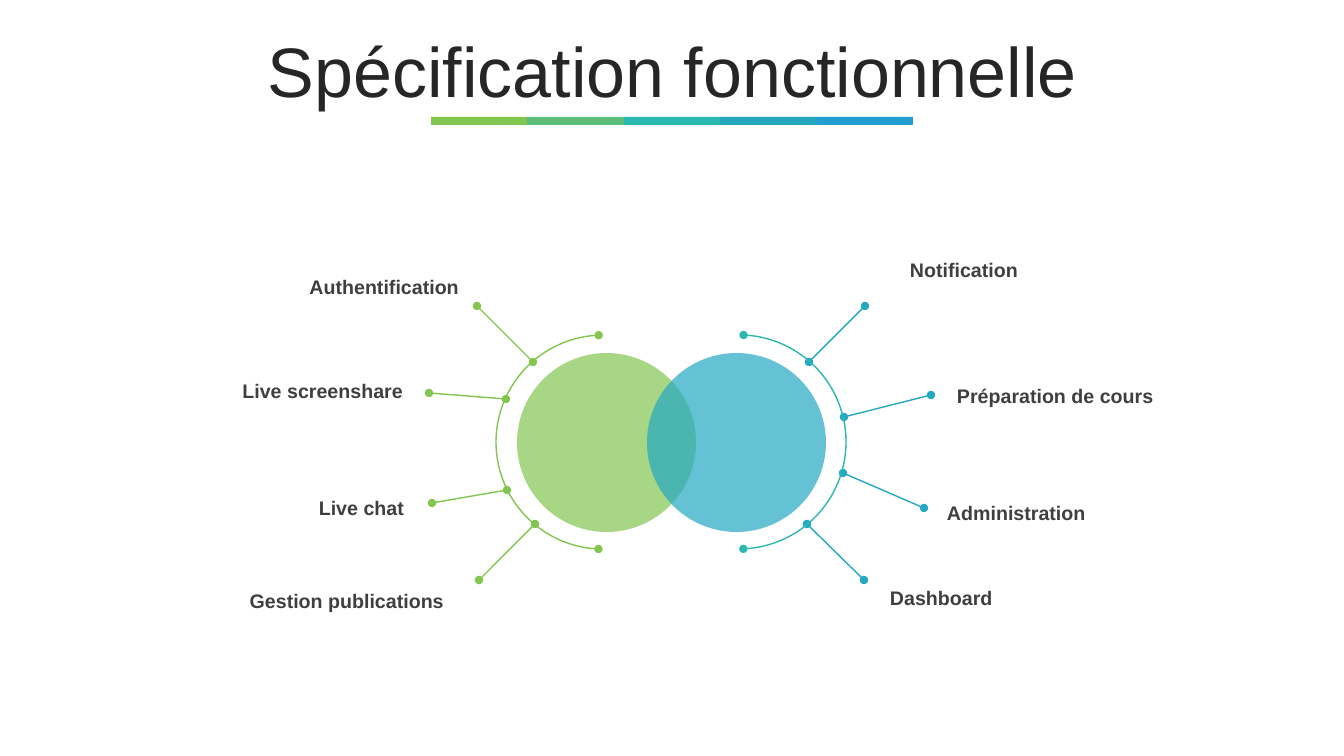
from dataclasses import dataclass

from lxml import etree
from pptx import Presentation
from pptx.dml.color import RGBColor
from pptx.enum.shapes import MSO_CONNECTOR, MSO_SHAPE
from pptx.enum.text import MSO_ANCHOR, MSO_AUTO_SIZE, PP_ALIGN
from pptx.oxml.ns import qn
from pptx.util import Emu, Pt


@dataclass(frozen=True)
class Theme:
    font: str = "Arial"
    title_size: int = 50
    label_size: int = 14
    line_width: int = 1
    title: str = "262626"
    label: str = "3F3F3F"
    green: str = "82C650"
    mint: str = "5CBE7A"
    teal: str = "2CB8AE"
    blue: str = "24A8C2"
    azure: str = "249ED2"


def px(length):
    return Emu(round(length * 914400 / 100.8))


class SlideBuilder:
    def __init__(self, slide, theme):
        self.slide = slide
        self.theme = theme

    def style_font(self, paragraph, size, color, bold):
        font = paragraph.font
        font.name = self.theme.font
        font.size = Pt(size)
        font.bold = bold
        font.color.rgb = RGBColor.from_string(color)

    def style_line(self, line, color):
        """Colour a line and put a round dot on both ends."""
        line.color.rgb = RGBColor.from_string(color)
        line.width = Pt(self.theme.line_width)
        ln = line._get_or_add_ln()
        for end in ("a:headEnd", "a:tailEnd"):
            etree.SubElement(ln, qn(end), type="oval")

    def title(self, text, left, top, width, height):
        heading = self.slide.shapes.title
        heading.left, heading.top = px(left), px(top)
        heading.width, heading.height = px(width), px(height)
        frame = heading.text_frame
        frame.text = text
        frame.auto_size = MSO_AUTO_SIZE.NONE
        frame.vertical_anchor = MSO_ANCHOR.MIDDLE
        paragraph = frame.paragraphs[0]
        paragraph.alignment = PP_ALIGN.CENTER
        paragraph.line_spacing = 0.8
        self.style_font(paragraph, self.theme.title_size, self.theme.title, False)

    def filled(self, preset, left, top, width, height, color, opacity=100):
        shape = self.slide.shapes.add_shape(
            preset, px(left), px(top), px(width), px(height))
        shape.shadow.inherit = False
        shape.line.fill.background()
        shape.fill.solid()
        shape.fill.fore_color.rgb = RGBColor.from_string(color)
        if opacity < 100:
            rgb = shape._element.spPr.find(".//" + qn("a:srgbClr"))
            etree.SubElement(rgb, qn("a:alpha"), val=str(opacity * 1000))

    def arc(self, left, top, size, rotation, color):
        arc = self.slide.shapes.add_shape(
            MSO_SHAPE.ARC, px(left), px(top), px(size), px(size))
        arc.adjustments[0] = 136.45
        arc.adjustments[1] = 25.62
        arc.rotation = rotation
        arc.shadow.inherit = False
        arc.fill.background()
        self.style_line(arc.line, color)

    def spoke(self, start, end, color):
        spoke = self.slide.shapes.add_connector(
            MSO_CONNECTOR.STRAIGHT, *map(px, start + end))
        self.style_line(spoke.line, color)
        etree.SubElement(spoke._element.spPr, qn("a:effectLst"))

    def label(self, text, left, top, width, alignment):
        box = self.slide.shapes.add_textbox(px(left), px(top), px(width), px(34))
        frame = box.text_frame
        frame.word_wrap = True
        frame.margin_left = frame.margin_right = px(12)
        frame.margin_top = frame.margin_bottom = px(5)
        frame.text = text
        paragraph = frame.paragraphs[0]
        paragraph.alignment = alignment
        self.style_font(paragraph, self.theme.label_size, self.theme.label, True)


def main():
    theme = Theme()
    deck = Presentation()
    deck.slide_width, deck.slide_height = px(1344), px(756)
    builder = SlideBuilder(deck.slides.add_slide(deck.slide_layouts[5]), theme)

    bar_colors = (theme.green, theme.mint, theme.teal, theme.blue, theme.azure)
    bar_edges = [round(431 + 482 * i / 5) for i in range(6)]
    for left, right, color in zip(bar_edges, bar_edges[1:], bar_colors):
        builder.filled(MSO_SHAPE.RECTANGLE, left, 117, right - left, 8, color)
    builder.title("Spécification fonctionnelle", 35, 37, 1276, 80)

    # Feature: text, label left, top and width, spoke outer and inner ends
    left_features = (
        ("Authentification", 183, 270, 288, (477, 306), (533, 362)),
        ("Live screenshare", 127, 374, 288, (429, 393), (506, 399)),
        ("Live chat", 79, 491, 337, (432, 503), (507, 490)),
        ("Gestion publications", 119, 584, 337, (479, 580), (535, 524)),
    )
    right_features = (
        ("Notification", 898, 253, 358, (865, 306), (809, 362)),
        ("Préparation de cours", 945, 379, 238, (931, 395), (844, 417)),
        ("Administration", 935, 496, 331, (924, 508), (843, 473)),
        ("Dashboard", 878, 581, 294, (864, 580), (807, 524)),
    )
    # Side: features, alignment, spoke and arc colours, circle and arc left, rotation
    sides = (
        (left_features, PP_ALIGN.RIGHT, theme.green, theme.green, 517, 496, 225),
        (right_features, PP_ALIGN.LEFT, theme.blue, theme.teal, 647, 632, 45),
    )
    for features, alignment, color, arc_color, circle_left, arc_left, rotation in sides:
        for text, left, top, width, outer, inner in features:
            builder.spoke(outer, inner, color)
            builder.label(text, left, top, width, alignment)
        builder.filled(MSO_SHAPE.OVAL, circle_left, 353, 179, 179, color, opacity=70)
        builder.arc(arc_left, 335, 214, rotation, arc_color)

    deck.save("out.pptx")


if __name__ == "__main__":
    main()
